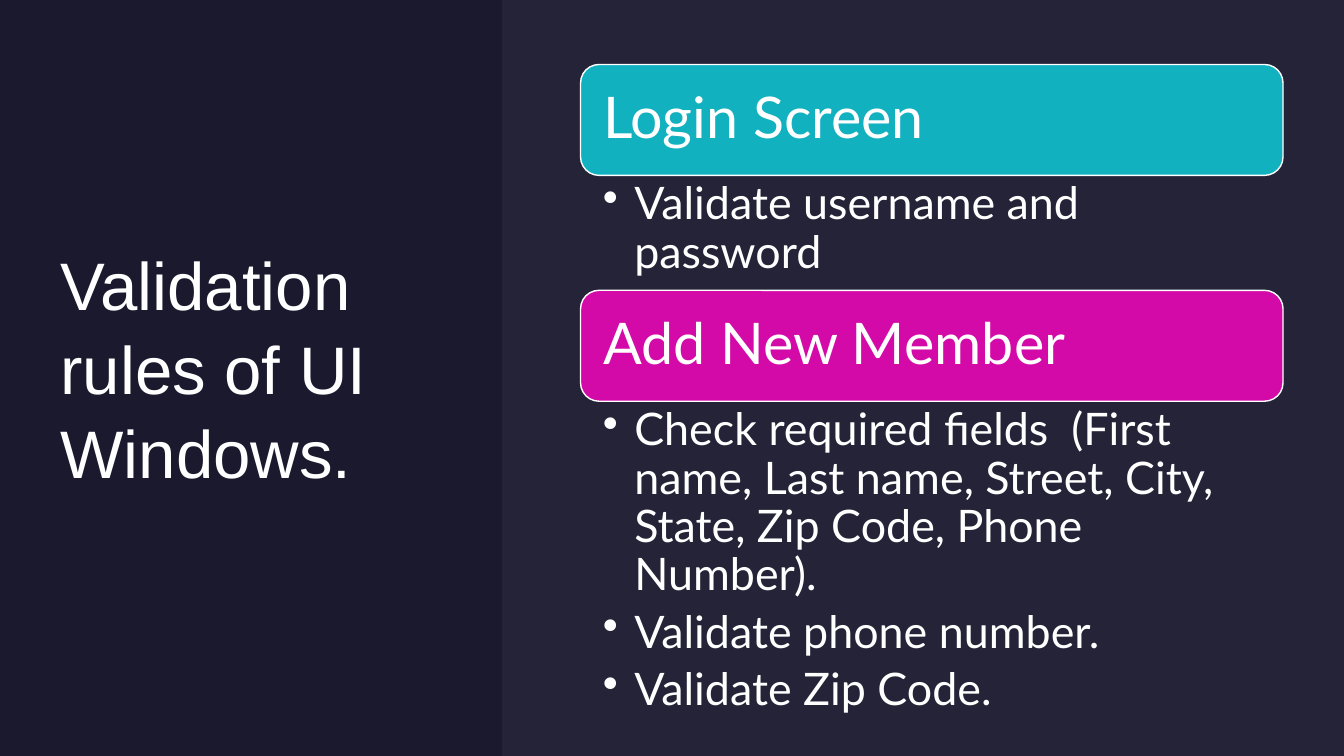
from lxml import etree
from pptx import Presentation
from pptx.dml.color import RGBColor
from pptx.enum.shapes import MSO_SHAPE
from pptx.enum.text import MSO_ANCHOR, MSO_AUTO_SIZE, PP_ALIGN
from pptx.oxml.ns import qn
from pptx.util import Pt

RECT, ROUND = MSO_SHAPE.RECTANGLE, MSO_SHAPE.ROUNDED_RECTANGLE
MIDDLE, TOP = MSO_ANCHOR.MIDDLE, MSO_ANCHOR.TOP
LEFT, FIXED = PP_ALIGN.LEFT, MSO_AUTO_SIZE.NONE
WHITE, NAVY, HAZE = "FFFFFF", "1B192E", "E4E3F0"
CARD_X, CARD_W, HEAD_H = 414.7, 501.8, 79.2

SECTIONS = [
    ("Login Screen", "12B1BF", 46.1, 82.1, ["Validate username and password"]),
    ("Add New Member", "D40AA8", 207.4, 207.4, [
        "Check required fields  (First name, Last name, Street, City, "
        "State, Zip Code, Phone Number).",
        "Validate phone number.",
        "Validate Zip Code.",
    ]),
]


def paint(target, color):
    target.solid()
    target.fore_color.rgb = RGBColor.from_string(color)


def write(frame, texts, font, size, spacing, insets, anchor, bullets=False):
    """Fill a text frame with one paragraph per text; insets run left, top, right, bottom."""
    frame.word_wrap = True
    frame.auto_size = FIXED
    frame.vertical_anchor = anchor
    (frame.margin_left, frame.margin_top,
     frame.margin_right, frame.margin_bottom) = [Pt(inset) for inset in insets]
    for i, text in enumerate(texts):
        para = frame.paragraphs[0] if i == 0 else frame.add_paragraph()
        para.alignment = LEFT
        para.line_spacing = spacing
        if bullets:
            para.space_after = Pt(6.4)
            props = para._p.get_or_add_pPr()
            props.set("marL", str(Pt(22.5)))
            props.set("indent", str(-Pt(22.5)))
            etree.SubElement(props, qn("a:buChar")).set("char", "•")
        run = para.add_run()
        run.text = text
        run.font.name = font
        run.font.size = Pt(size)
        run.font.color.rgb = RGBColor.from_string(WHITE)


deck = Presentation()
deck.slide_width, deck.slide_height = Pt(960), Pt(540)
slide = deck.slides.add_slide(deck.slide_layouts[5])
paint(slide.background.fill, NAVY)
shapes = slide.shapes

title = shapes.title
title.left, title.top, title.width, title.height = Pt(43.2), Pt(43.2), Pt(280.8), Pt(436.3)
write(title.text_frame, ["Validation rules of UI Windows."], "Arial", 48, 1.04,
      (0, 0, 0, 0), MIDDLE)

panel = shapes.add_shape(RECT, Pt(358.5), 0, Pt(601.5), Pt(540))
panel.shadow.inherit = False
paint(panel.fill, HAZE)
panel.line.fill.background()
tint = panel.fill._xPr.find(qn("a:solidFill"))[0]
etree.SubElement(tint, qn("a:alpha")).set("val", "5000")

for name, color, top, height, rules in SECTIONS:
    head = shapes.add_shape(ROUND, Pt(CARD_X), Pt(top), Pt(CARD_W), Pt(HEAD_H))
    head.shadow.inherit = False
    paint(head.fill, color)
    paint(head.line.fill, WHITE)
    head.line.width = Pt(1)
    write(head.text_frame, [name], "Lato", 41, 0.9, (12.3, 12.3, 12.3, 12.3), MIDDLE)

    body = shapes.add_textbox(Pt(CARD_X), Pt(top + HEAD_H), Pt(CARD_W), Pt(height))
    write(body.text_frame, rules, "Lato", 32, 0.9, (15.9, 4.1, 23, 4.1), TOP, bullets=True)

deck.save("out.pptx")
